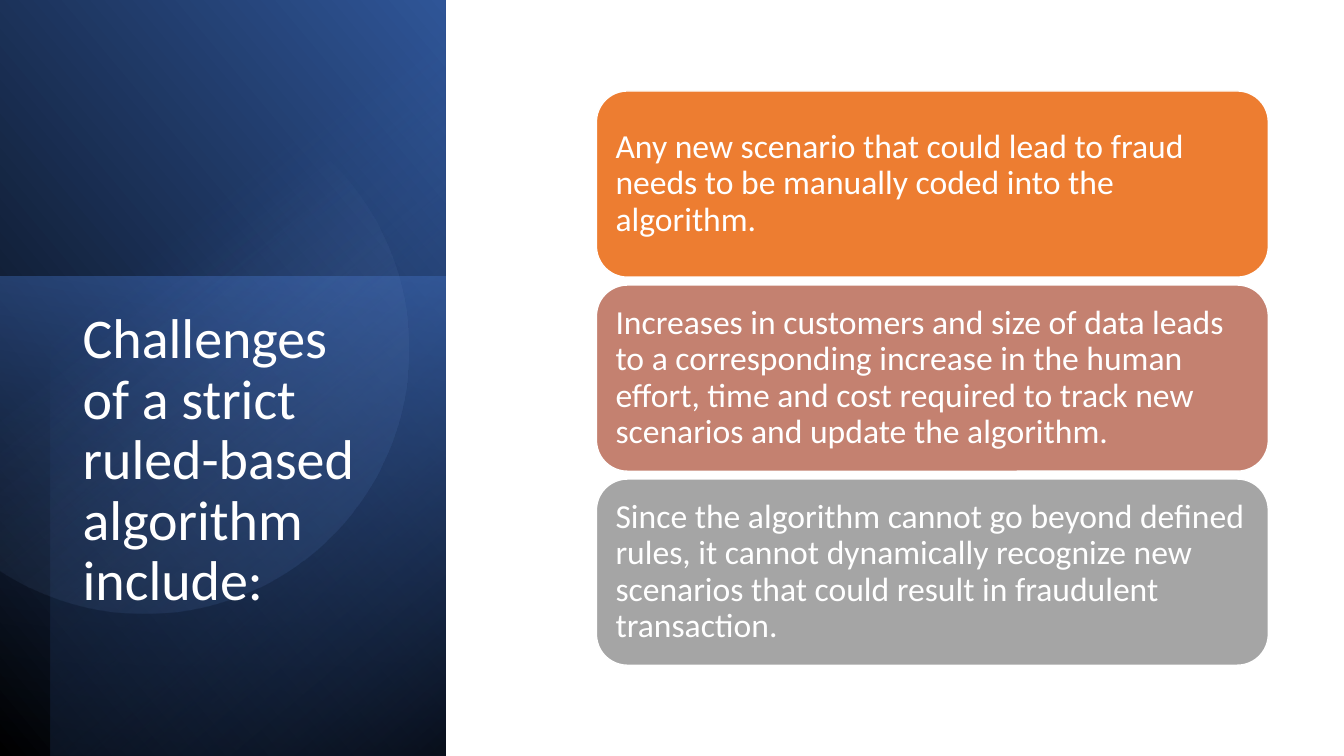
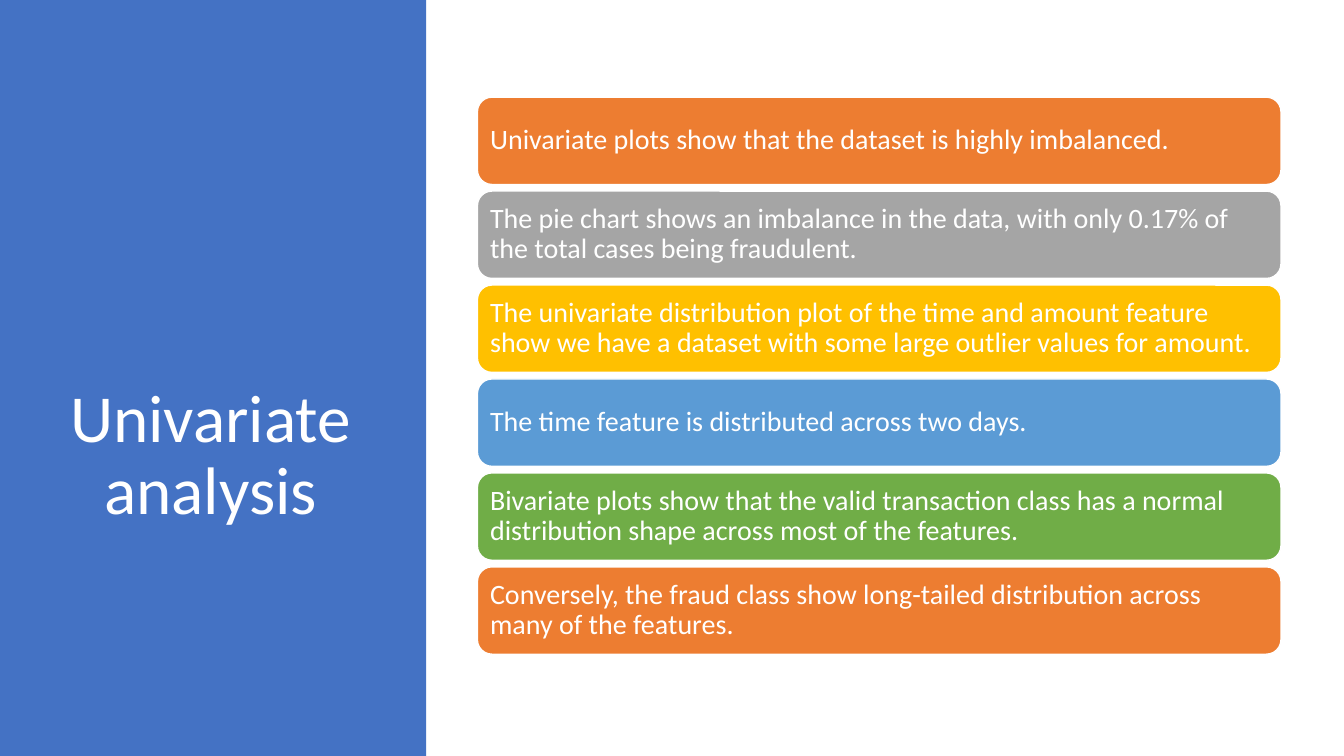
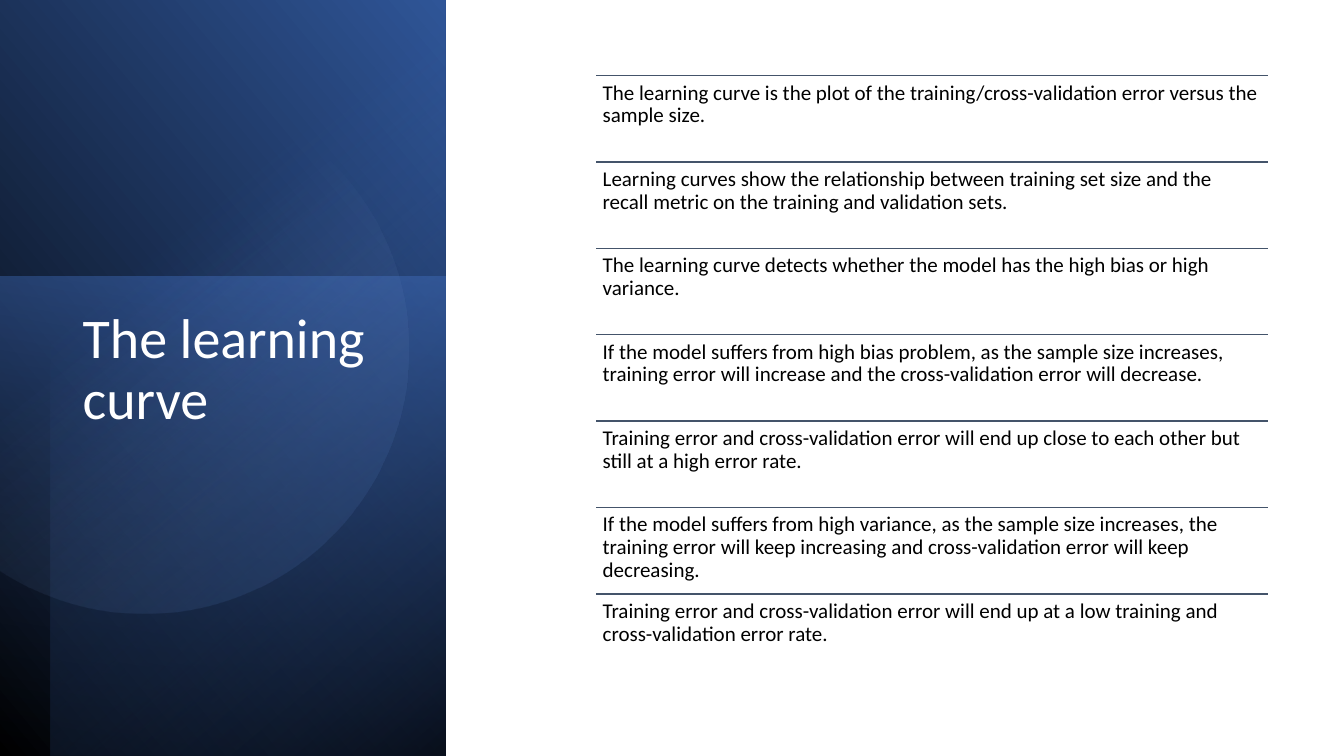
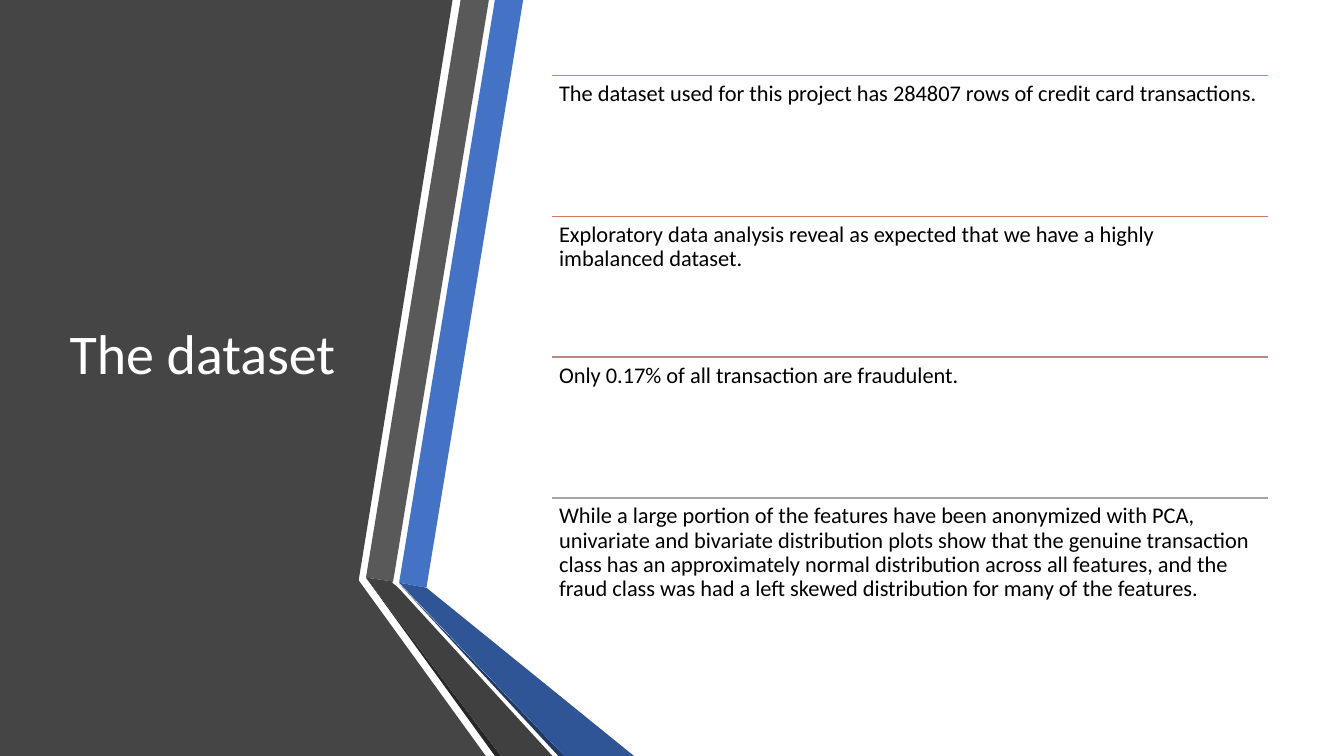
from dataclasses import dataclass
from math import acos, cos, pi, sin

from lxml.etree import SubElement
from pptx import Presentation
from pptx.dml.color import RGBColor
from pptx.enum.shapes import MSO_CONNECTOR, MSO_SHAPE
from pptx.enum.text import MSO_ANCHOR, MSO_AUTO_SIZE, PP_ALIGN
from pptx.oxml.ns import qn
from pptx.presentation import Presentation as PresentationType
from pptx.shapes.autoshape import Shape
from pptx.slide import Slide
from pptx.text.text import TextFrame
from pptx.util import Pt

SLIDE_WIDTH, SLIDE_HEIGHT = 960, 540


@dataclass(frozen=True)
class Theme:
    font: str = "Calibri"
    title_size: float = 40
    large_title_size: float = 48
    large_card_size: float = 24
    card_size: float = 20
    list_size: float = 16
    dense_list_size: float = 15
    line_spacing: float = 0.9
    inset_ratio: float = 0.3
    white: str = "FFFFFF"
    black: str = "000000"
    blue: str = "4472C4"
    dark_blue: str = "2F5597"
    navy: str = "203864"
    pale_blue: str = "8FAADC"
    slate: str = "44546A"
    orange: str = "ED7D31"
    terracotta: str = "D17B5C"
    clay: str = "C48170"
    dusty_rose: str = "B98A82"
    gray: str = "A5A5A5"
    gold: str = "FFC000"
    sky: str = "5B9BD5"
    green: str = "70AD47"
    charcoal: str = "454545"
    mid_charcoal: str = "595959"
    dark_charcoal: str = "404040"
    near_black: str = "262626"


THEME = Theme()


@dataclass(frozen=True)
class Box:
    left: float
    top: float
    width: float
    height: float

    def lengths(self) -> tuple[Pt, Pt, Pt, Pt]:
        return Pt(self.left), Pt(self.top), Pt(self.width), Pt(self.height)


@dataclass(frozen=True)
class Item:
    text: str
    color: str


@dataclass(frozen=True)
class Stop:
    position: float
    color: str
    opacity: int = 100


@dataclass(frozen=True)
class Gradient:
    """Two stops; the angle runs clockwise in degrees."""
    start: Stop
    end: Stop
    angle: float


@dataclass(frozen=True)
class GradientPanel:
    box: Box
    rotation: float
    flipped: bool
    gradient: Gradient


@dataclass(frozen=True)
class Facet:
    color: str
    points: tuple[tuple[float, float], ...]


GRADIENT_PANELS = (
    GradientPanel(Box(-111.6, 111.6, 541.44, 318.24), 90, True,
                  Gradient(Stop(0, THEME.black), Stop(1, THEME.dark_blue), 310)),
    GradientPanel(Box(-12.24, 209.52, 342.72, 318.24), 270, False,
                  Gradient(Stop(0, THEME.blue, 50), Stop(1, THEME.navy, 0), 190)),
    GradientPanel(Box(-92.88, 128.88, 540, 282.24), 270, True,
                  Gradient(Stop(0, THEME.black, 59), Stop(0.69, THEME.blue, 0), 220)),
)
DISC_GRADIENT = Gradient(Stop(0.39, THEME.pale_blue, 0), Stop(1, THEME.dark_blue, 26), 51.6)

FACETS = (
    Facet(THEME.charcoal, ((0, 0), (323.3, 0), (256.3, 414), (256.3, 414.7), (347, 540), (0, 540))),
    Facet(THEME.blue, ((285.1, 416.2), (304.6, 419.8), (373.7, 0), (353.5, 0))),
    Facet(THEME.mid_charcoal, ((349.2, 0), (329, 0), (261.4, 412.6), (280.8, 415.4))),
    Facet(THEME.near_black, ((261.4, 412.6), (353.5, 540), (357.8, 540))),
    Facet(THEME.navy, ((285.1, 416.9), (398.9, 540), (403.2, 540))),
    Facet(THEME.dark_blue, ((285.1, 416.2), (403.2, 540), (452.9, 540), (304.6, 419.8))),
    Facet(THEME.dark_charcoal, ((261.4, 412.6), (357.8, 540), (394.6, 540), (284.4, 419.8),
                                (280.1, 416.2), (280.8, 415.4))),
)

CHALLENGES = (
    Item("Any new scenario that could lead to fraud needs to be manually coded into the algorithm.",
         THEME.orange),
    Item("Increases in customers and size of data leads to a corresponding increase in the human "
         "effort, time and cost required to track new scenarios and update the algorithm.", THEME.clay),
    Item("Since the algorithm cannot go beyond defined rules, it cannot dynamically recognize new "
         "scenarios that could result in fraudulent transaction.", THEME.gray),
)
FINDINGS = (
    Item("Univariate plots show that the dataset is highly imbalanced.", THEME.orange),
    Item("The pie chart shows an imbalance in the data, with only 0.17% of the total cases being "
         "fraudulent.", THEME.gray),
    Item("The univariate distribution plot of the time and amount feature show we have a dataset "
         "with some large outlier values for amount.", THEME.gold),
    Item("The time feature is distributed across two days.", THEME.sky),
    Item("Bivariate plots show that the valid transaction class has a normal distribution shape "
         "across most of the features.", THEME.green),
    Item("Conversely, the fraud class show long-tailed distribution across many of the features.",
         THEME.orange),
)
LEARNING_CURVE = tuple(Item(text, THEME.slate) for text in (
    "The learning curve is the plot of the training/cross-validation error versus the sample size.",
    "Learning curves show the relationship between training set size and the recall metric on the "
    "training and validation sets.",
    "The learning curve detects whether the model has the high bias or high variance.",
    "If the model suffers from high bias problem, as the sample size increases, training error will "
    "increase and the cross-validation error will decrease.",
    "Training error and cross-validation error will end up close to each other but still at a high "
    "error rate.",
    "If the model suffers from high variance, as the sample size increases, the training error will "
    "keep increasing and cross-validation error will keep decreasing.",
    "Training error and cross-validation error will end up at a low training and cross-validation "
    "error rate.",
))
DATASET = (
    Item("The dataset used for this project has 284807 rows of credit card transactions.", THEME.orange),
    Item("Exploratory data analysis reveal as expected that we have a highly imbalanced dataset.",
         THEME.terracotta),
    Item("Only 0.17% of all transaction are fraudulent.", THEME.dusty_rose),
    Item("While a large portion of the features have been anonymized with PCA, univariate and "
         "bivariate distribution plots show that the genuine transaction class has an approximately "
         "normal distribution across all features, and the fraud class was had a left skewed "
         "distribution for many of the features.", THEME.gray),
)


def write_text(frame: TextFrame, text: str, *, size: float, color: str,
               anchor: MSO_ANCHOR = MSO_ANCHOR.TOP, align: PP_ALIGN = PP_ALIGN.LEFT,
               inset: float | None = None) -> None:
    frame.word_wrap = True
    frame.auto_size = MSO_AUTO_SIZE.NONE
    frame.vertical_anchor = anchor
    if inset is not None:
        frame.margin_left = frame.margin_right = Pt(inset)
        frame.margin_top = frame.margin_bottom = Pt(inset)
    paragraph = frame.paragraphs[0]
    paragraph.alignment = align
    paragraph.line_spacing = THEME.line_spacing
    run = paragraph.add_run()
    run.text = text
    run.font.name = THEME.font
    run.font.size = Pt(size)
    run.font.color.rgb = RGBColor.from_string(color)


def add_title(slide: Slide, text: str, box: Box, *, size: float = THEME.title_size,
              anchor: MSO_ANCHOR = MSO_ANCHOR.TOP, align: PP_ALIGN = PP_ALIGN.LEFT) -> None:
    """Fill the title placeholder and bring it in front of the panels."""
    title = slide.shapes.title
    title.left, title.top, title.width, title.height = box.lengths()
    write_text(title.text_frame, text, size=size, color=THEME.white, anchor=anchor, align=align)
    title._element.getparent().append(title._element)


def paint_solid(shape: Shape, color: str) -> None:
    shape.shadow.inherit = False
    shape.line.fill.background()
    shape.fill.solid()
    shape.fill.fore_color.rgb = RGBColor.from_string(color)


def paint_gradient(shape: Shape, gradient: Gradient) -> None:
    shape.shadow.inherit = False
    shape.line.fill.background()
    shape.fill.gradient()
    shape.fill.gradient_angle = 360 - gradient.angle
    stops = (gradient.start, gradient.end)
    for gradient_stop, stop in zip(shape.fill.gradient_stops, stops):
        gradient_stop.position = stop.position
        gradient_stop.color.rgb = RGBColor.from_string(stop.color)
    for color_element, stop in zip(shape._element.spPr.iter(qn("a:srgbClr")), stops):
        if stop.opacity < 100:
            SubElement(color_element, qn("a:alpha"), val=str(stop.opacity * 1000))


def add_polygon(slide: Slide, points: tuple[tuple[float, float], ...]) -> Shape:
    vertices = [(Pt(x), Pt(y)) for x, y in points]
    builder = slide.shapes.build_freeform(*vertices[0])
    builder.add_line_segments(vertices[1:], close=True)
    return builder.convert_to_shape()


def clipped_disc(center_x: float, center_y: float, radius: float,
                 steps: int = 120) -> tuple[tuple[float, float], ...]:
    """Outline of a disc cut off by the left edge of the slide."""
    limit = acos(-center_x / radius)
    angles = (limit * (2 * step / steps - 1) for step in range(steps + 1))
    return tuple((center_x + radius * cos(angle), center_y + radius * sin(angle))
                 for angle in angles)


def add_gradient_band(slide: Slide) -> None:
    for panel in GRADIENT_PANELS:
        shape = slide.shapes.add_shape(MSO_SHAPE.RECTANGLE, *panel.box.lengths())
        shape.rotation = panel.rotation
        if panel.flipped:
            shape._element.spPr.get_or_add_xfrm().set("flipH", "1")
        paint_gradient(shape, panel.gradient)
    paint_gradient(add_polygon(slide, clipped_disc(103, 249.5, 189)), DISC_GRADIENT)


def add_cards(slide: Slide, items: tuple[Item, ...], first: Box, *, gap: float, size: float) -> None:
    for index, item in enumerate(items):
        box = Box(first.left, first.top + index * (first.height + gap), first.width, first.height)
        card = slide.shapes.add_shape(MSO_SHAPE.ROUNDED_RECTANGLE, *box.lengths())
        paint_solid(card, item.color)
        card.line.color.rgb = RGBColor.from_string(THEME.white)
        card.line.width = Pt(1)
        write_text(card.text_frame, item.text, size=size, color=THEME.white,
                   anchor=MSO_ANCHOR.MIDDLE, inset=size * THEME.inset_ratio)


def add_ruled_list(slide: Slide, items: tuple[Item, ...], first: Box, *, size: float) -> None:
    for index, item in enumerate(items):
        box = Box(first.left, first.top + index * first.height, first.width, first.height)
        left, top, width, _ = box.lengths()
        rule = slide.shapes.add_connector(MSO_CONNECTOR.STRAIGHT, left, top, left + width, top)
        rule.line.color.rgb = RGBColor.from_string(item.color)
        rule.line.width = Pt(1)
        SubElement(rule._element.spPr, qn("a:effectLst"))
        text_box = slide.shapes.add_textbox(*box.lengths())
        write_text(text_box.text_frame, item.text, size=size, color=THEME.black,
                   inset=size * THEME.inset_ratio)


def add_slide(presentation: PresentationType) -> Slide:
    return presentation.slides.add_slide(presentation.slide_layouts.get_by_name("Title Only"))


BAND_TITLE_BOX = Box(51.84, 218.16, 226.8, 241.92)


def build_challenges(presentation: PresentationType) -> None:
    slide = add_slide(presentation)
    add_gradient_band(slide)
    add_title(slide, "Challenges of a strict ruled-based algorithm include:", BAND_TITLE_BOX)
    add_cards(slide, CHALLENGES, Box(426, 65, 480, 133), gap=5.6, size=THEME.large_card_size)


def build_univariate_analysis(presentation: PresentationType) -> None:
    slide = add_slide(presentation)
    side_panel = slide.shapes.add_shape(MSO_SHAPE.RECTANGLE, *Box(0, 0, 304.5, SLIDE_HEIGHT).lengths())
    paint_solid(side_panel, THEME.blue)
    add_title(slide, "Univariate analysis", Box(24.5, 270.7, 252, 216),
              size=THEME.large_title_size, align=PP_ALIGN.CENTER)
    add_cards(slide, FINDINGS, Box(341, 69.4, 574, 62.4), gap=4.7, size=THEME.card_size)


def build_learning_curve(presentation: PresentationType) -> None:
    slide = add_slide(presentation)
    add_gradient_band(slide)
    add_title(slide, "The learning curve", BAND_TITLE_BOX)
    add_ruled_list(slide, LEARNING_CURVE, Box(426, 54, 480, 61.7), size=THEME.dense_list_size)


def build_dataset(presentation: PresentationType) -> None:
    slide = add_slide(presentation)
    for facet in FACETS:
        paint_solid(add_polygon(slide, facet.points), facet.color)
    add_title(slide, "The dataset", Box(42.5, 54, 218.9, 401.8), anchor=MSO_ANCHOR.MIDDLE)
    add_ruled_list(slide, DATASET, Box(394.6, 54, 511.2, 100.55), size=THEME.list_size)


def main() -> None:
    presentation = Presentation()
    presentation.slide_width, presentation.slide_height = Pt(SLIDE_WIDTH), Pt(SLIDE_HEIGHT)
    build_challenges(presentation)
    build_univariate_analysis(presentation)
    build_learning_curve(presentation)
    build_dataset(presentation)
    presentation.save("out.pptx")


if __name__ == "__main__":
    main()
